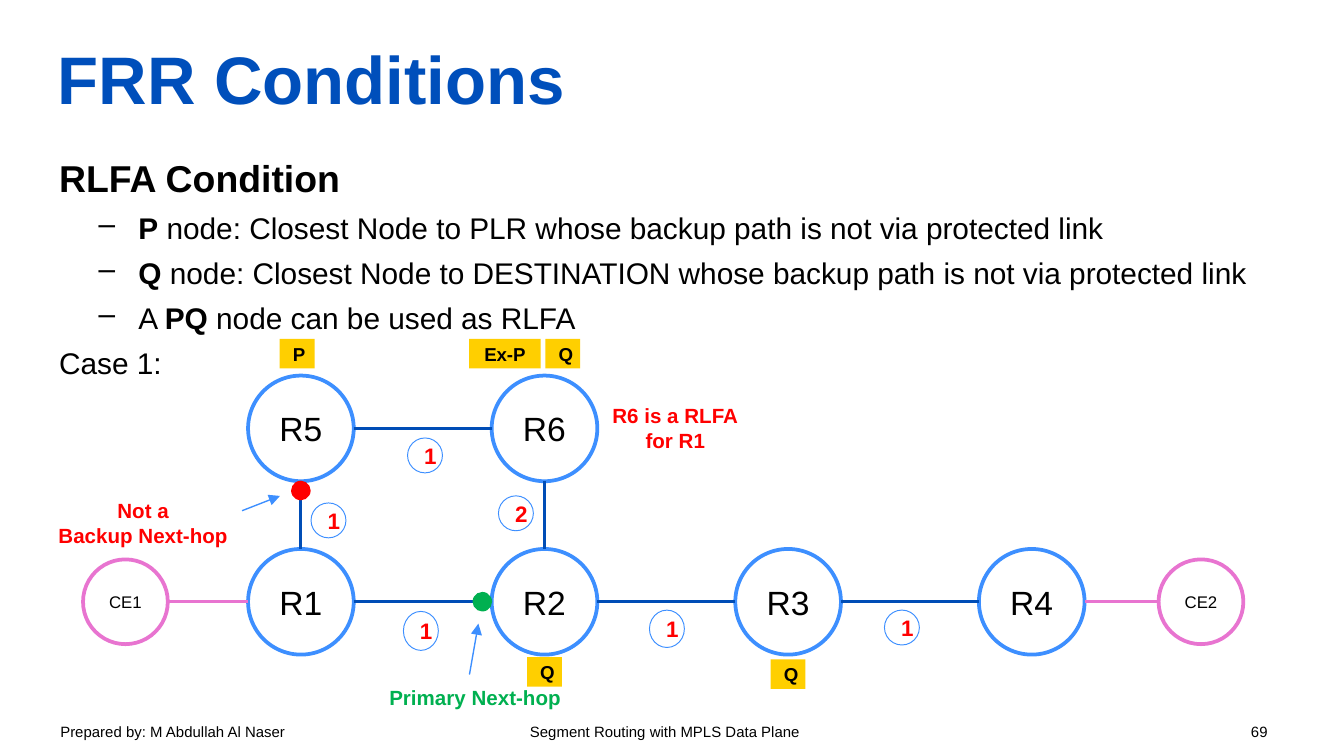
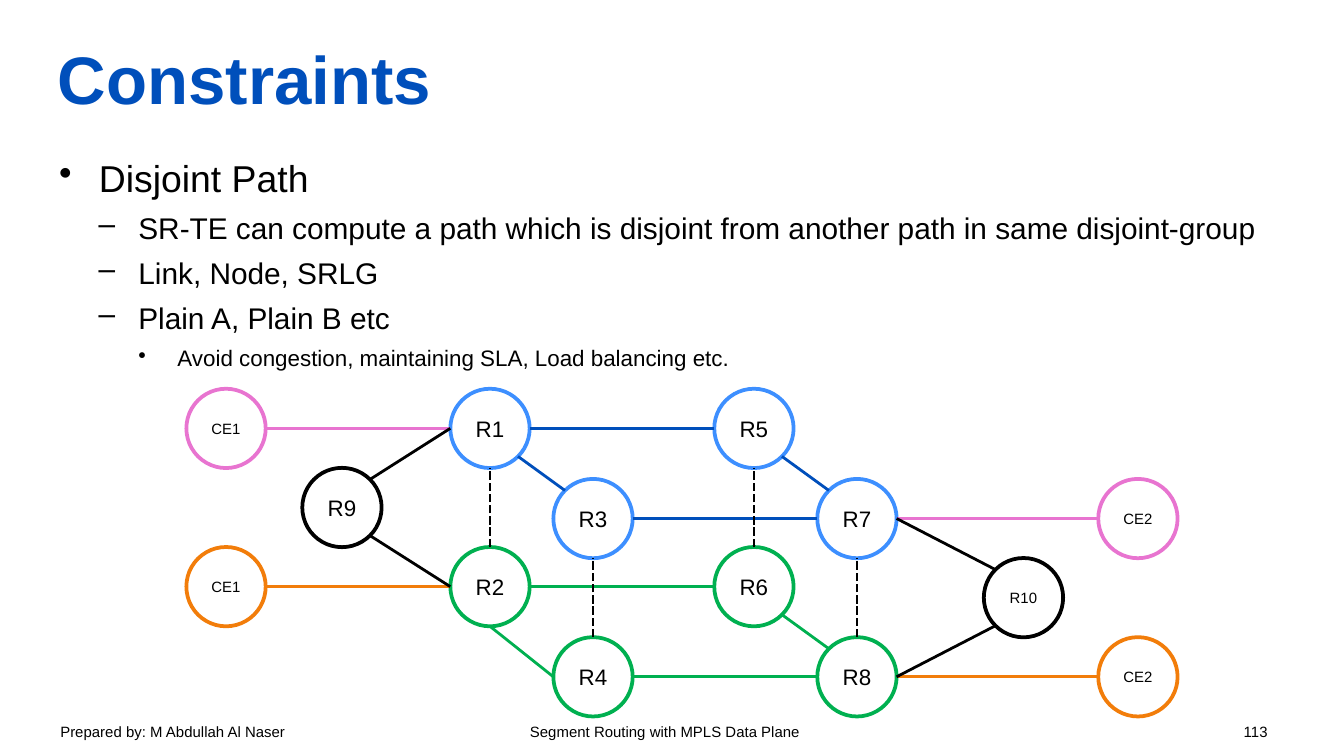
import math

import lxml.etree
import pptx
import pptx.dml.color
import pptx.enum.dml
import pptx.enum.shapes
import pptx.enum.text
import pptx.oxml.ns
import pptx.util

Pt = pptx.util.Pt
qn = pptx.oxml.ns.qn
ALIGN = pptx.enum.text.PP_ALIGN
ANCHOR = pptx.enum.text.MSO_ANCHOR
SHAPE = pptx.enum.shapes.MSO_SHAPE

COLORS = {
    "title": "004FBB", "text": "000000", "router": "3D8FFF", "link": "004DB6",
    "edge": "E874D0", "orange": "F27D0A", "green": "00B050", "red": "FF0000",
    "tag": "FFCF00",
}
COMPASS = ("E", "SE", "S", "SW", "W", "NW", "N", "NE")

# Outline levels: size, left margin, hanging indent, bullet
LEVELS = {
    "heading": (20, 0, 0, None),
    "plain": (16, 0, 0, None),
    "bullet": (20, 21.3, -21.3, "•"),
    "dash": (16, 42.5, -21.3, "–"),
    "detail": (12, 63.4, -20.9, "•"),
}


def rgb(name):
    return pptx.dml.color.RGBColor.from_string(COLORS[name])


def write(paragraph, text, size=12, color="text", bold=False, align=None):
    """Add text to a paragraph; parts between asterisks are bold."""
    paragraph.alignment = align
    for i, part in enumerate(text.split("*")):
        if part:
            run = paragraph.add_run()
            run.text = part
            run.font.name = "Arial"
            run.font.size = Pt(size)
            run.font.bold = bold or i % 2 == 1
            run.font.color.rgb = rgb(color)


def rim(node, side):
    """Point on a node's circle in a compass direction."""
    x, y, diameter = node
    angle = COMPASS.index(side) * math.pi / 4
    return x + diameter / 2 * math.cos(angle), y + diameter / 2 * math.sin(angle)


class Deck:
    def __init__(self):
        self.file = pptx.Presentation()
        self.file.slide_width, self.file.slide_height = Pt(720), Pt(405)
        self.slide = None

    def start(self, title, outline, number):
        self.slide = self.file.slides.add_slide(self.file.slide_layouts[6])
        self.footer(number)
        heading = self.frame(31, 4.3, 657.4, 67.7, margins=(0, 7, 0, 0))
        heading.vertical_anchor = ANCHOR.MIDDLE
        write(heading.paragraphs[0], title, size=36, color="title", bold=True)
        self.outline(outline)

    def frame(self, left, top, width, height, margins=(7.2, 3.6, 7.2, 3.6), wrap=True):
        box = self.slide.shapes.add_textbox(Pt(left), Pt(top), Pt(width), Pt(height))
        frame = box.text_frame
        frame.word_wrap = wrap
        (frame.margin_left, frame.margin_top,
         frame.margin_right, frame.margin_bottom) = map(Pt, margins)
        return frame

    def footer(self, number):
        line = self.frame(25.2, 383.8, 671, 18).paragraphs[0]
        stops = lxml.etree.SubElement(line._p.get_or_add_pPr(), qn("a:tabLst"))
        for position, kind in ((324, "ctr"), (646.8, "r")):
            lxml.etree.SubElement(stops, qn("a:tab"), pos=str(Pt(position)), algn=kind)
        write(line, "Prepared by: M Abdullah Al Naser\t"
                    f"Segment Routing with MPLS Data Plane\t{number}", size=8)

    def outline(self, items):
        frame = self.frame(31.7, 80.6, 657.4, 297.4, margins=(0, 1.6, 0, 0))
        for i, (level, text) in enumerate(items):
            size, margin, indent, bullet = LEVELS[level]
            item = frame.add_paragraph() if i else frame.paragraphs[0]
            item.line_spacing = 1.05
            if i:
                item.space_before = Pt(4)
            properties = item._p.get_or_add_pPr()
            properties.set("marL", str(Pt(margin)))
            properties.set("indent", str(Pt(indent)))
            if bullet:
                lxml.etree.SubElement(properties, qn("a:buChar"), char=bullet)
            write(item, text, size=size)

    def shape(self, kind, x, y, width, height, fill=None, line=None, weight=2,
              text="", wrap=True, **style):
        """Add a preset shape centred on x, y."""
        shape = self.slide.shapes.add_shape(
            kind, Pt(x - width / 2), Pt(y - height / 2), Pt(width), Pt(height))
        shape.shadow.inherit = False
        if fill:
            shape.fill.solid()
            shape.fill.fore_color.rgb = rgb(fill)
        else:
            shape.fill.background()
        if line:
            shape.line.color.rgb = rgb(line)
            shape.line.width = Pt(weight)
        else:
            shape.line.fill.background()
        shape.text_frame.word_wrap = wrap
        shape.text_frame.vertical_anchor = ANCHOR.MIDDLE
        write(shape.text_frame.paragraphs[0], text, align=ALIGN.CENTER, **style)

    def node(self, name, x, y, diameter, color="router", size=12):
        self.shape(SHAPE.OVAL, x, y, diameter, diameter, line=color,
                   text=name, size=size, wrap=False)
        return x, y, diameter

    def cost(self, value, x, y, height=18.7):
        self.shape(SHAPE.OVAL, x, y, 18.7, height, line="router", weight=0.5,
                   text=value, color="red", bold=True)

    def tag(self, name, x, y, width=18.7):
        self.shape(SHAPE.RECTANGLE, x, y, width, 15.8, fill="tag",
                   text=name, size=10, bold=True)

    def marker(self, x, y, color):
        self.shape(SHAPE.OVAL, x, y, 10.5, 10.5, fill=color)

    def note(self, lines, left, top, width, height, color):
        frame = self.frame(left, top, width, height, wrap=False)
        for i, text in enumerate(lines):
            paragraph = frame.add_paragraph() if i else frame.paragraphs[0]
            write(paragraph, text, size=11, color=color, bold=True, align=ALIGN.CENTER)

    def line(self, start, end, color, weight=1.5, dashed=False, arrow=False):
        line = self.slide.shapes.add_connector(
            pptx.enum.shapes.MSO_CONNECTOR.STRAIGHT, *map(Pt, start + end))
        line.line.color.rgb = rgb(color)
        line.line.width = Pt(weight)
        if dashed:
            line.line.dash_style = pptx.enum.dml.MSO_LINE.SQUARE_DOT
        properties = line.element.spPr
        if arrow:
            lxml.etree.SubElement(properties.find(qn("a:ln")), qn("a:tailEnd"),
                                  type="triangle")
        lxml.etree.SubElement(properties, qn("a:effectLst"))

    def link(self, start, start_side, end, end_side, color="link", dashed=False):
        self.line(rim(start, start_side), rim(end, end_side), color, dashed=dashed)


def frr_conditions(deck):
    deck.start("FRR Conditions", [
        ("heading", "*RLFA Condition*"),
        ("dash", "*P* node: Closest Node to PLR whose backup path is not via protected link"),
        ("dash", "*Q* node: Closest Node to DESTINATION whose backup path is not via protected link"),
        ("dash", "A *PQ* node can be used as RLFA"),
        ("plain", "Case 1:"),
    ], 69)

    columns = [161.2 + 130.5 * i for i in range(4)]
    upper, lower = 229.5, 322.4
    r1, r2, r3, r4 = [deck.node(f"R{i}", x, lower, 56.6, size=18)
                      for i, x in enumerate(columns, 1)]
    r5, r6 = [deck.node(f"R{i}", x, upper, 56.6, size=18)
              for i, x in enumerate(columns[:2], 5)]
    ce1, ce2 = [deck.node(name, x, lower, 45.4, "edge", size=9)
                for name, x in (("CE1", 67.2), ("CE2", 643.4))]

    for left, right in ((r1, r2), (r2, r3), (r3, r4), (r5, r6)):
        deck.link(left, "E", right, "W")
    for below, above in ((r1, r5), (r2, r6)):
        deck.link(below, "N", above, "S")
    for left, right in ((ce1, r1), (r4, ce2)):
        deck.link(left, "E", right, "W", "edge")

    for cost in (("1", 227.7, 244), ("1", 225.5, 338, 20.9), ("1", 357.3, 336.9, 20),
                 ("1", 483.2, 336.2), ("1", 176, 278.8), ("2", 276.4, 275)):
        deck.cost(*cost)
    for tag in (("P", 159.2, 189.5), ("Ex-P", 270.5, 189.5, 38.2), ("Q", 301.5, 189.5),
                ("Q", 291.7, 360), ("Q", 422.2, 361.2)):
        deck.tag(*tag)

    x, y = rim(r2, "W")
    deck.marker(x - 5, y, "green")
    x, y = rim(r5, "S")
    deck.marker(x, y + 5, "red")

    deck.line((251.5, 361.4), (256.3, 334.1), "router", 0.75, arrow=True)
    deck.line((129.7, 273.6), (150, 265.7), "router", 0.75, arrow=True)
    deck.note(["Primary Next-hop"], 200.9, 363.6, 107.3, 20.9, "green")
    deck.note(["Not a", "Backup Next-hop"], 23.8, 263.5, 105.8, 33.8, "red")
    deck.note(["R6 is a RLFA", "for R1"], 320.4, 212.4, 82.8, 33.8, "red")


def constraints(deck):
    deck.start("Constraints", [
        ("bullet", "Disjoint Path"),
        ("dash", "SR-TE can compute a path which is disjoint from another path in same disjoint-group"),
        ("dash", "Link, Node, SRLG"),
        ("dash", "Plain A, Plain B etc"),
        ("detail", "Avoid congestion, maintaining SLA, Load balancing etc."),
    ], 113)

    diameter, plane_gap = 42.5, 84.8
    back_x, front_x = (262.5, 403.9), (317.7, 459.1)
    back_y, front_y = 229.5, 277.8

    planes = []
    for i, (ring, path, edge, corner) in enumerate((
            ("router", "title", "edge", ("SE", "NW")),
            ("green", "green", "orange", ("S", "W")))):
        back, front = back_y + i * plane_gap, front_y + i * plane_gap
        back_left, back_right = [deck.node(f"R{n + i}", x, back, diameter, ring)
                                 for n, x in zip((1, 5), back_x)]
        front_left, front_right = [deck.node(f"R{n + i}", x, front, diameter, ring)
                                   for n, x in zip((3, 7), front_x)]
        ce1 = deck.node("CE1", 121.1, back, diameter, edge, size=8)
        ce2 = deck.node("CE2", 609.6, front, diameter, edge, size=8)
        deck.link(ce1, "E", back_left, "W", edge)
        deck.link(front_right, "E", ce2, "W", edge)
        deck.link(back_left, "E", back_right, "W", path)
        deck.link(front_left, "E", front_right, "W", path)
        deck.link(back_left, corner[0], front_left, corner[1], path)
        deck.link(back_right, "SE", front_right, "NW", path)
        planes.append((back_left, back_right, front_left, front_right))

    for top, bottom in zip(*planes):
        deck.link(bottom, "N", top, "S", "text", dashed=True)

    r9 = deck.node("R9", 183.2, back_y + plane_gap / 2, diameter, "text")
    r10 = deck.node("R10", 548.3, front_y + plane_gap / 2, diameter, "text", size=8)
    for plane, r9_side, r10_side in zip(planes, ("NE", "SE"), ("NW", "SW")):
        deck.link(r9, r9_side, plane[0], "W", "text")
        deck.link(plane[3], "E", r10, r10_side, "text")


def main():
    deck = Deck()
    frr_conditions(deck)
    constraints(deck)
    deck.file.save("out.pptx")


if __name__ == "__main__":
    main()
